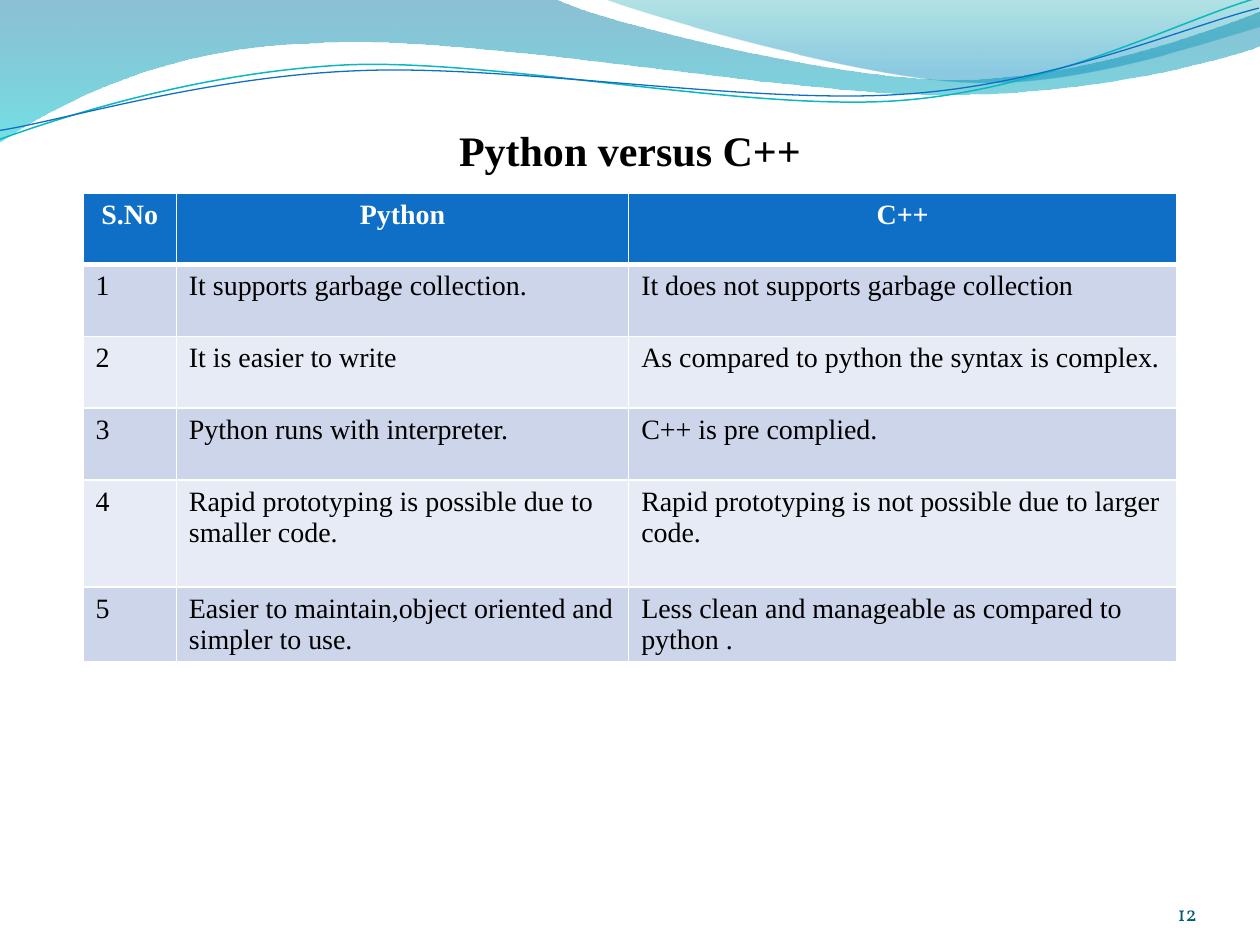
from lxml.etree import SubElement
from pptx import Presentation
from pptx.dml.color import RGBColor
from pptx.enum.text import MSO_ANCHOR, MSO_AUTO_SIZE, PP_ALIGN
from pptx.oxml import parse_xml
from pptx.oxml.ns import nsdecls, qn
from pptx.util import Inches, Pt

SERIF = "Times New Roman"
ROWS = [
    ("S.No", "Python", "C++"),
    ("1", "It supports garbage collection.", "It does not supports garbage collection"),
    ("2", "It is easier to write", "As compared to python the syntax is complex."),
    ("3", "Python runs with interpreter.", "C++ is pre complied."),
    ("4", "Rapid prototyping is possible due to smaller code.",
     "Rapid prototyping is not possible due to larger code."),
    ("5", "Easier to maintain,object oriented and simpler to use.",
     "Less clean and manageable as compared to python ."),
]

# Each wave: a start point, then cubic curves (6 numbers) or lines (2 numbers)
BANDS = [
    ([(0, 0), (4.4, -0.01), (4.76, 0.17, 6.64, 0.63, 7.58, 0.63),
      (8.53, 0.63, 9.58, 0.26, 10, 0.09), (10.01, 0.36),
      (9.83, 0.44, 8.7, 0.76, 7.46, 0.75), (6.22, 0.75, 3.82, 0.28, 2.57, 0.34),
      (1.29, 0.36, 0.46, 0.83, -0.01, 1.13)],
     [(0, "0074A1", 45), (1, "00C6CF", 55)]),
    ([(4.79, -0.01), (5.09, 0.11, 6.82, 0.62, 7.69, 0.65),
      (8.56, 0.69, 9.61, 0.32, 10, 0.21), (10, 0)],
     [(0, "00A1A9", 30), (0.8, "008BBF", 45)]),
]
TILT = 357.3  # degrees, for the lines
LINES = [
    ([(-0.02, 0.87), (0.47, 0.72, 1.58, 0.41, 2.77, 0.41),
      (3.96, 0.42, 5.91, 0.93, 7.12, 0.9), (8.32, 0.87, 9.4, 0.36, 10, 0.22)],
     "0AB8BF", 0.85),
    ([(-0.02, 0.8), (0.46, 0.75, 1.64, 0.45, 2.83, 0.46),
      (4.03, 0.46, 5.96, 0.88, 7.16, 0.85), (8.35, 0.83, 9.42, 0.42, 10.01, 0.3)],
     "0F6FC6", 0.75),
]


def color(code):
    return RGBColor.from_string(code)


def style(para, size, font, code, bold=False, align=PP_ALIGN.LEFT):
    para.alignment = align
    for run in para.runs:
        run.font.size, run.font.name, run.font.bold = Pt(size), font, bold
        run.font.color.rgb = color(code)


def add_wave(slide, left, top, steps, close):
    points = [(Inches(step[i]), Inches(step[i + 1]))
              for step in steps for i in range(0, len(step), 2)]
    pen = slide.shapes.build_freeform(*points[0], scale=1.0)
    pen.add_line_segments(points[1:], close=close)
    wave = pen.convert_to_shape(left, top)
    wave.shadow.inherit = False
    # Join each three segments of a cubic step into one curve
    parts = iter(list(wave.element.iter(qn("a:lnTo"))))
    for step in steps[1:]:
        first = next(parts)
        if len(step) == 6:
            first.tag = qn("a:cubicBezTo")
            for part in (next(parts), next(parts)):
                first.append(part[0])
                part.getparent().remove(part)
    return wave


def add_waves(slide, left, top):
    # Translucent bands
    for steps, stops in BANDS:
        band = add_wave(slide, left, top, steps, True)
        band.line.fill.background()
        band.fill.gradient()
        band.fill.gradient_angle = 270
        for stop, (place, code, alpha) in zip(band.fill.gradient_stops, stops):
            stop.position = place
            stop.color.rgb = color(code)
        tints = band.element.spPr.iter(qn("a:srgbClr"))
        for tint, (place, code, alpha) in zip(tints, stops):
            SubElement(tint, qn("a:alpha"), val=str(alpha * 1000))
    # Thin lines
    for steps, code, width in LINES:
        line = add_wave(slide, left, top, steps, False)
        line.rotation = TILT
        line.fill.background()
        line.line.color.rgb = color(code)
        line.line.width = Pt(width)


def set_frame(frame, top=0):
    frame.word_wrap = True
    frame.auto_size = MSO_AUTO_SIZE.NONE
    frame.vertical_anchor = MSO_ANCHOR.BOTTOM
    frame.margin_left = frame.margin_right = frame.margin_bottom = 0
    frame.margin_top = top


def add_title(slide, left, top, width, height):
    title = slide.shapes.title
    title.left, title.top, title.width, title.height = left, top, width, height
    tree = title.element.getparent()
    tree.append(title.element)  # in front of the waves
    frame = title.text_frame
    frame.text = "Python versus C++"
    set_frame(frame, Inches(0.05))
    style(frame.paragraphs[0], 24, SERIF, "000000", True, PP_ALIGN.CENTER)


def add_number(slide, left, top, width, height):
    frame = slide.shapes.add_textbox(left, top, width, height).text_frame
    frame.text = "12"
    set_frame(frame)
    style(frame.paragraphs[0], 12, "Vollkorn", "045D75", align=PP_ALIGN.RIGHT)


def set_borders(cell, widths):
    props = cell._tc.get_or_add_tcPr()
    for i, (side, width) in enumerate(zip("LRTB", widths)):
        props.insert(i, parse_xml(
            f'<a:ln{side} {nsdecls("a")} w="{Pt(width)}"><a:solidFill>'
            f'<a:srgbClr val="FFFFFF"/></a:solidFill></a:ln{side}>'))


def add_grid(slide, left, top, width, height):
    frame = slide.shapes.add_table(len(ROWS), 3, left, top, width, height)
    grid = frame.table
    for col, size in zip(grid.columns, (0.74, 3.59, 4.35)):
        col.width = Inches(size)
    for r, texts in enumerate(ROWS):
        head = r == 0
        grid.rows[r].height = Inches(0.85 if r == 4 else 0.57)
        fill = "0F6FC6" if head else ("E7EBF5", "CCD5EA")[r % 2]
        for c, text in enumerate(texts):
            cell = grid.cell(r, c)
            cell.text = text
            cell.fill.solid()
            cell.fill.fore_color.rgb = color(fill)
            set_borders(cell, (1, 1, 3 if r == 1 else 1, 3 if head else 1))
            style(cell.text_frame.paragraphs[0], 16, SERIF,
                  "FFFFFF" if head else "000000", head,
                  PP_ALIGN.CENTER if head else PP_ALIGN.LEFT)
    frame.height = height


def main():
    deck = Presentation()
    deck.slide_width, deck.slide_height = Inches(10), Inches(7.5)
    slide = deck.slides.add_slide(deck.slide_layouts[5])
    add_waves(slide, Inches(0), Inches(0))
    add_title(slide, Inches(0.46), Inches(0.14), Inches(9.08), Inches(1.25))
    add_number(slide, Inches(8.67), Inches(6.95), Inches(0.83), Inches(0.4))
    add_grid(slide, Inches(0.66), Inches(1.53), Inches(8.68), Inches(5.15))
    deck.save("out.pptx")


if __name__ == "__main__":
    main()
